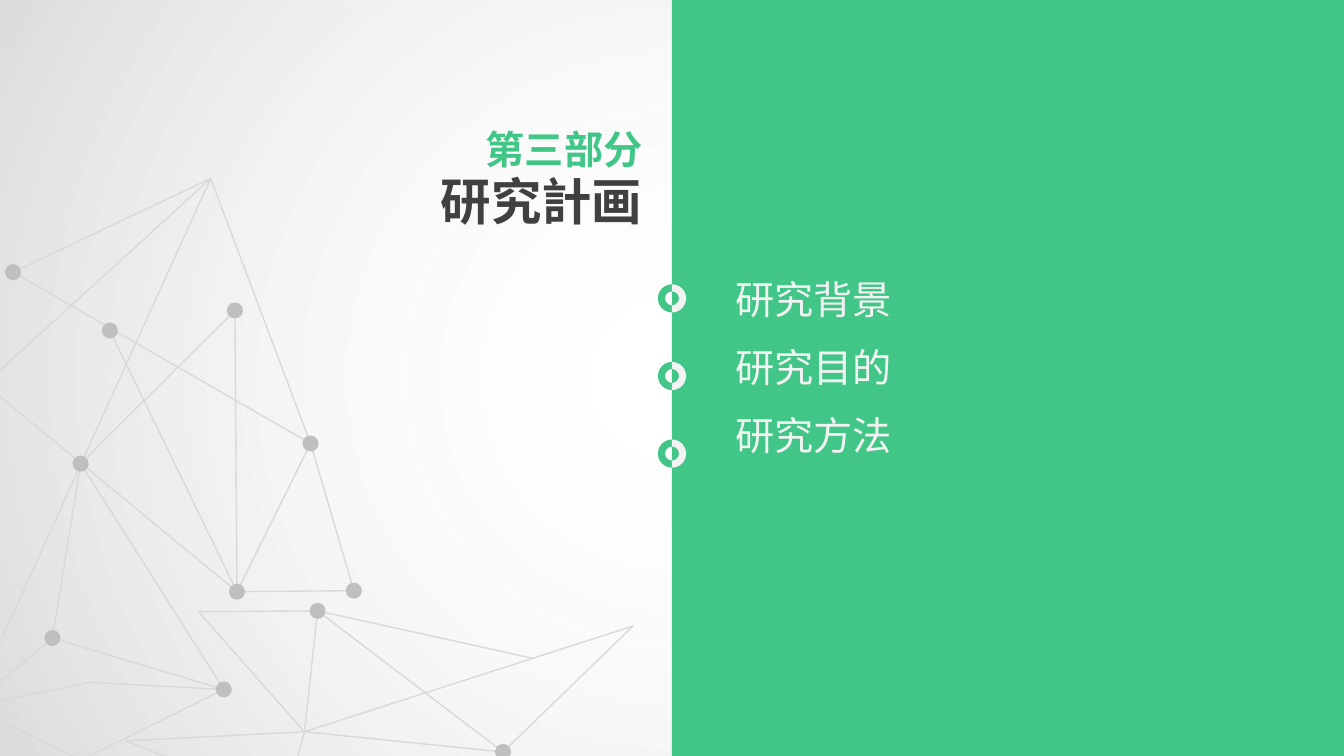
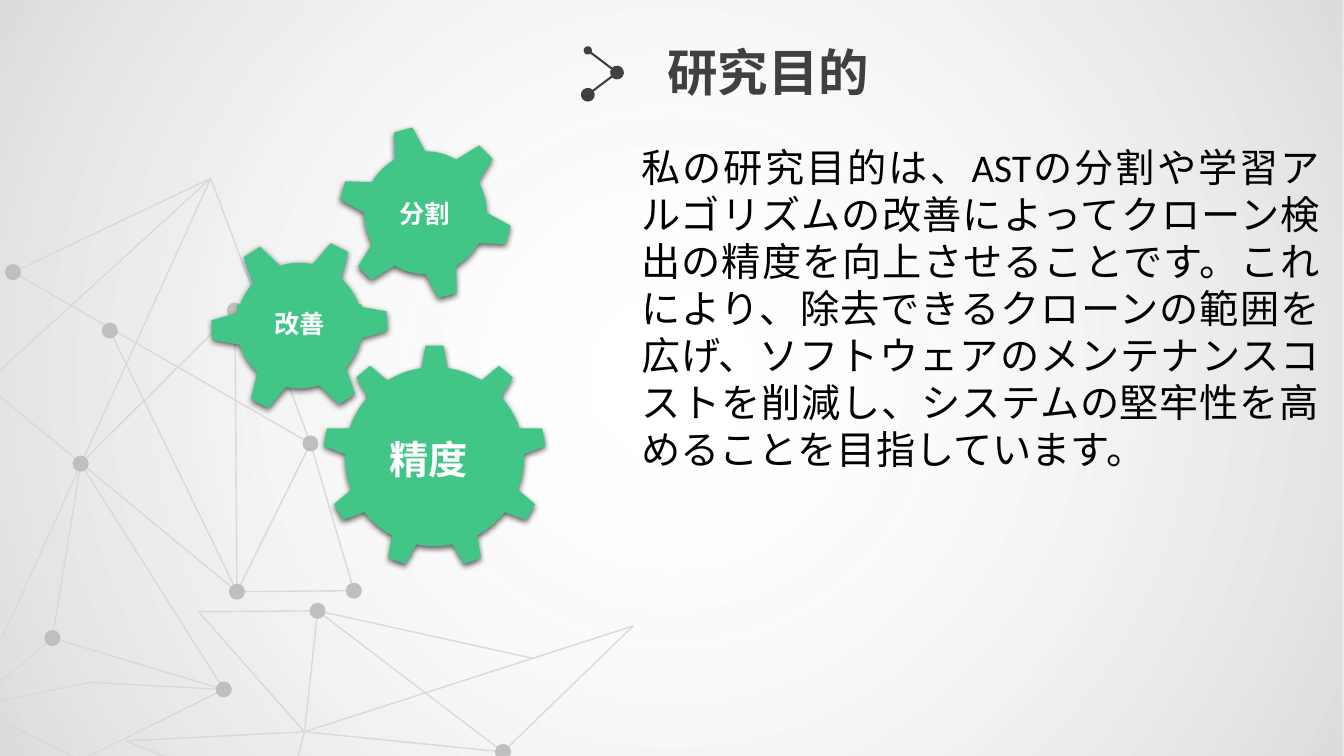
from lxml import etree
from pptx import Presentation
from pptx import util as u
from pptx.dml.color import RGBColor
from pptx.enum import shapes, text
from pptx.oxml import ns, parse_xml

GREEN, DARK, PALE, WHITE, BLACK = "42C687", "404040", "F2F2F2", "FFFFFF", "000000"
MESH, DOT = "D9D9D9", "BFBFBF"
CJK = "Noto Sans CJK SC"
A = "http://schemas.openxmlformats.org/drawingml/2006/main"
rgb = RGBColor.from_string
kind = shapes.MSO_SHAPE
align = text.PP_ALIGN

prs = Presentation()
prs.slide_width, prs.slide_height = u.Inches(13.33), u.Inches(7.5)
rows = 75
cell = prs.slide_height / rows
cols = prs.slide_width / cell


def put(s, shape, x, y, w, h, color):
    sp = s.shapes.add_shape(shape, *(round(v * cell) for v in (x, y, w, h)))
    sp.fill.solid()
    sp.fill.fore_color.rgb = rgb(color)
    sp.line.fill.background()
    sp.shadow.inherit = False
    return sp


def write(sp, lines, size, color, al, latin=CJK, ea=CJK, bold=False, box=None, gap=0):
    if box:
        sp.left, sp.top, sp.width, sp.height = (round(v * cell) for v in box)
    tf = sp.text_frame
    tf.word_wrap = True
    tf.auto_size = text.MSO_AUTO_SIZE.NONE
    tf.vertical_anchor = text.MSO_ANCHOR.TOP if box else text.MSO_ANCHOR.MIDDLE
    tf.margin_top = tf.margin_bottom = 0
    for i, line in enumerate(lines):
        p = tf.add_paragraph() if i else tf.paragraphs[0]
        p.alignment = al
        p.space_before, p.space_after = u.Pt(0), u.Pt(gap)
        pPr = p._p.get_or_add_pPr()
        pPr.set("marL", "0")
        pPr.set("indent", "0")
        etree.SubElement(pPr, ns.qn("a:buNone"))
        r = p.add_run()
        r.text = line
        r.font.size, r.font.bold = u.Pt(size), bold
        r.font.color.rgb = rgb(color)
        r.font.name = latin
        etree.SubElement(r._r.get_or_add_rPr(), ns.qn("a:ea"), typeface=ea)


cover, aim = [prs.slides.add_slide(prs.slide_layouts[1]) for _ in range(2)]

glow = put(cover, kind.RECTANGLE, 0, 0, cols, rows, WHITE)
stops = "".join(
    f'<a:gs pos="{pos}000"><a:srgbClr val="{c}"><a:alpha val="{alpha}000"/></a:srgbClr></a:gs>'
    for pos, c, alpha in [(0, WHITE, 0), (67, "BFBFBF", 25), (100, "A6A6A6", 40)])
grad = parse_xml(
    f'<a:gradFill xmlns:a="{A}" rotWithShape="1"><a:gsLst>{stops}</a:gsLst><a:path path="circle">'
    '<a:fillToRect l="50000" t="50000" r="50000" b="50000"/></a:path></a:gradFill>')
solid = glow.element.spPr.find(ns.qn("a:solidFill"))
solid.getparent().replace(solid, grad)

nodes = {
    "A": (20.9, 17.7), "B": (-1.5, 38.1), "C": (-2.9, 70.1), "D": (30.8, 44),
    "E": (35.1, 58.6), "F": (23.5, 58.7), "G": (1.3, 27), "H": (10.9, 32.8),
    "I": (23.3, 30.8), "J": (8, 46), "K": (5.2, 63.3), "L": (22.2, 68.4),
    "M": (8.9, 67.7), "N": (8.1, 75.4), "P": (30.2, 72.6), "Q": (49.9, 74.6),
    "R": (19.7, 60.7), "S": (31.5, 60.6), "T": (28.3, 79.9), "U": (12.5, 73.5),
    "V": (62.8, 62.1), "X": (52.8, 65.3),
    "1": (58.3, 5), "2": (61.2, 7.2), "3": (58.3, 9.4)}
mesh = ("PQ RS RP QS PS PT PU UT VP VQ XS AB AC AD ED FD GD FB FH IJ IF FE "
        "KJ KC KL LJ AG ML MC NL NC")
backdrop = [glow]
for s, edges, color, width in [(cover, mesh, MESH, 1), (aim, "12 23", DARK, 1.5)]:
    for a, b in edges.split():
        ends = [round(v * cell) for v in nodes[a] + nodes[b]]
        c = s.shapes.add_connector(shapes.MSO_CONNECTOR.STRAIGHT, *ends)
        c.line.color.rgb = rgb(color)
        c.line.width = u.Pt(width)
        if s is aim:
            ln = c.line._get_or_add_ln()
            for tag, size in [("a:headEnd", "med"), ("a:tailEnd", "lg")]:
                etree.SubElement(ln, ns.qn(tag), type="oval", w=size, len=size)
        else:
            backdrop.append(c)
        etree.SubElement(c.element.spPr, ns.qn("a:effectLst"))

d = 1.6
for n in "QSGHIDEFJLK":
    x, y = nodes[n]
    backdrop.append(put(cover, kind.OVAL, x - d / 2, y - d / 2, d, d, DOT))

master = prs.slide_master.shapes.element
for i, sp in enumerate(backdrop):
    sp.element.xpath(".//p:cNvPr")[0].set("id", str(100 + i))
    master.insert(2 + i, sp.element)

s = cover
mid = cols / 2
panel = put(s, kind.RECTANGLE, mid, 0, mid, rows, GREEN)
s.shapes.element.insert(2, panel.element)
write(s.shapes.title, ["研究計画"], 36, DARK, align.RIGHT, bold=True,
      box=(34.7, 16.9, 30, 7.5))
part = s.shapes.add_textbox(0, 0, 0, 0)
write(part, ["第三部分"], 28, GREEN, align.RIGHT, bold=True, box=(34.7, 12.4, 30, 5.7))
topics = ["研究背景", "研究目的", "研究方法"]
write(s.placeholders[1], topics, 28, PALE, align.LEFT, box=(71.9, 27.3, 40, 24), gap=15)
ring, step = 2.8, 7.7
for i in range(len(topics)):
    for color, start, end in [(GREEN, 54, 162), (PALE, 162, 54)]:
        half = put(s, kind.BLOCK_ARC, mid - ring / 2, 28.2 + i * step, ring, ring, color)
        for k, v in enumerate((start, end, 0.25)):
            half.adjustments[k] = v

s = aim
write(s.shapes.title, ["研究目的"], 36, DARK, align.LEFT, "Arial", bold=True,
      box=(65.2, 4.1, 40, 7.5))
purpose = ("私の研究目的は、ASTの分割や学習アルゴリズムの改善によってクローン検出の精度を向上させることです。"
           "これにより、除去できるクローンの範囲を広げ、ソフトウェアのメンテナンスコストを削減し、"
           "システムの堅牢性を高めることを目指しています。")
write(s.placeholders[1], [purpose], 28, BLACK, align.JUSTIFY, "Calibri", "Calibri",
      box=(62.6, 14.2, 69.3, 33.5))

gears = [
    (kind.GEAR_9, 32, 34.2, 22.2, 0, "精度", 28, (36.3, 42.9, 12.4, 5.3)),
    (kind.GEAR_6, 20.8, 23.4, 17.8, 327.1, "改善", 18, (23.5, 30.2, 12.4, 3.7)),
    (kind.GEAR_6, 33.5, 12.4, 17.4, 345, "分割", 18, (36.9, 19.3, 10.4, 3.7))]
for shape, x, y, size, turn, *_ in gears:
    gear = put(s, shape, x, y, size, size, GREEN)
    gear.rotation = turn
    gear.element.spPr.find(ns.qn("a:effectLst")).append(parse_xml(
        f'<a:outerShdw xmlns:a="{A}" blurRad="57150" dist="19050" dir="5400000" algn="ctr" '
        f'rotWithShape="0"><a:srgbClr val="{BLACK}"><a:alpha val="63000"/></a:srgbClr></a:outerShdw>'))
for *_, word, size, box in gears:
    label = put(s, kind.RECTANGLE, *box, GREEN)
    write(label, [word], size, WHITE, align.CENTER, "Arial", bold=True)

prs.save("out.pptx")
